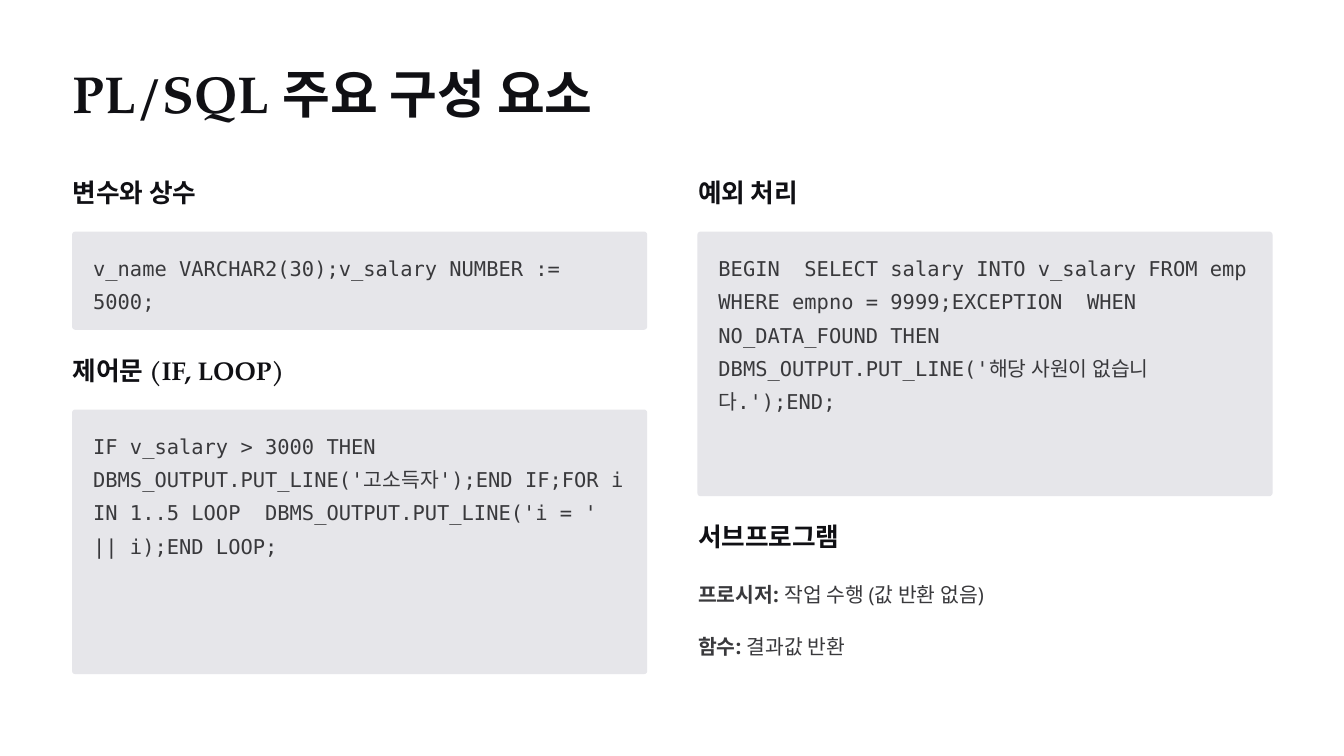
from pptx import Presentation
from pptx.dml.color import RGBColor
from pptx.enum.shapes import MSO_SHAPE
from pptx.enum.text import MSO_ANCHOR, MSO_AUTO_SIZE, PP_ALIGN
from pptx.oxml.ns import qn
from pptx.util import Pt

INK = RGBColor(0x10, 0x10, 0x14)
GREY = RGBColor(0x39, 0x39, 0x3C)
PANEL = RGBColor(0xE6, 0xE6, 0xEA)
SERIF, SANS, MONO = "TeX Gyre Pagella", "Open Sans", "DejaVu Sans Mono"

TITLE = "PL/SQL 주요 구성 요소"
# Each column holds (heading, code, panel height); no code means the list
COLUMNS = [
    [
        ("변수와 상수", "v_name VARCHAR2(30);v_salary NUMBER := 5000;", 84.2),
        ("제어문 (IF, LOOP)",
         "IF v_salary > 3000 THEN  DBMS_OUTPUT.PUT_LINE('고소득자');END IF;"
         "FOR i IN 1..5 LOOP  DBMS_OUTPUT.PUT_LINE('i = ' || i);END LOOP;",
         226.8),
    ],
    [
        ("예외 처리",
         "BEGIN  SELECT salary INTO v_salary FROM emp WHERE empno = 9999;"
         "EXCEPTION  WHEN NO_DATA_FOUND THEN    "
         "DBMS_OUTPUT.PUT_LINE('해당 사원이 없습니다.');END;",
         226.8),
        ("서브프로그램", None, 0),
    ],
]
TERMS = [("프로시저:", " 작업 수행 (값 반환 없음)"), ("함수:", " 결과값 반환")]

LEFT, STEP, TOP = 62.3, 536, 150.5
WIDE, RADIUS = 493, 2.7
HEAD_H, HEAD_GAP, LIST_GAP, PANEL_GAP = 28, 48, 46.2, 20.3
PAD_X, PAD_Y = 17.3, 12.8


def place(shape, x, y, w, h):
    shape.left, shape.top, shape.width, shape.height = map(Pt, (x, y, w, h))


def write(shape, lines, font=SANS, size=17.5, color=GREY, bold=False,
          line=28.5, after=0, wrap=True, pad=(0, 0)):
    """Fill a shape; each line is a list of (text, bold) runs or a string."""
    frame = shape.text_frame
    frame.auto_size = MSO_AUTO_SIZE.NONE
    frame.word_wrap = wrap
    frame.vertical_anchor = MSO_ANCHOR.TOP
    frame.margin_left = frame.margin_right = Pt(pad[0])
    frame.margin_top = frame.margin_bottom = Pt(pad[1])
    for i, parts in enumerate(lines):
        para = frame.add_paragraph() if i else frame.paragraphs[0]
        para.alignment = PP_ALIGN.LEFT
        para.line_spacing = Pt(line)
        para.space_before, para.space_after = Pt(0), Pt(after)
        for text, heavy in [(parts, bold)] if isinstance(parts, str) else parts:
            run = para.add_run()
            run.text = text
            run.font.name, run.font.size = font, Pt(size)
            run.font.bold = heavy
            run.font.color.rgb = color


def add_panel(slide, code, x, y, h):
    panel = slide.shapes.add_shape(
        MSO_SHAPE.ROUNDED_RECTANGLE, Pt(x), Pt(y), Pt(WIDE), Pt(h))
    panel.adjustments[0] = RADIUS / h
    panel.shadow.inherit = False
    panel.fill.solid()
    panel.fill.fore_color.rgb = PANEL
    panel.line.fill.background()
    write(panel, [code], font=MONO, pad=(PAD_X, PAD_Y))


def add_terms(body, x, y):
    place(body, x, y, WIDE, 74)
    write(body, [[(term, True), (note, False)] for term, note in TERMS],
          after=16.1)
    for para in body.text_frame.paragraphs:
        props = para._p.get_or_add_pPr()
        props.set("marL", "0")
        props.set("indent", "0")
        props.append(props.makeelement(qn("a:buNone"), {}))


def main():
    deck = Presentation()
    deck.slide_width, deck.slide_height = Pt(1152), Pt(648)
    slide = deck.slides.add_slide(deck.slide_layouts[1])
    title, body = slide.placeholders
    place(title, LEFT, 50.4, STEP + WIDE, 56.2)
    write(title, [TITLE], font=SERIF, size=44.5, color=INK, bold=True,
          line=55.5)
    for col, parts in enumerate(COLUMNS):
        x, y = LEFT + col * STEP, TOP
        for head, code, h in parts:
            box = slide.shapes.add_textbox(Pt(x), Pt(y), Pt(223), Pt(HEAD_H))
            write(box, [head], font=SERIF, size=22, color=INK, bold=True,
                  line=27.5, wrap=False)
            if code:
                add_panel(slide, code, x - 0.5, y + HEAD_GAP, h)
                y += HEAD_GAP + h + PANEL_GAP
            else:
                add_terms(body, x, y + LIST_GAP)
    deck.save("out.pptx")


if __name__ == "__main__":
    main()
